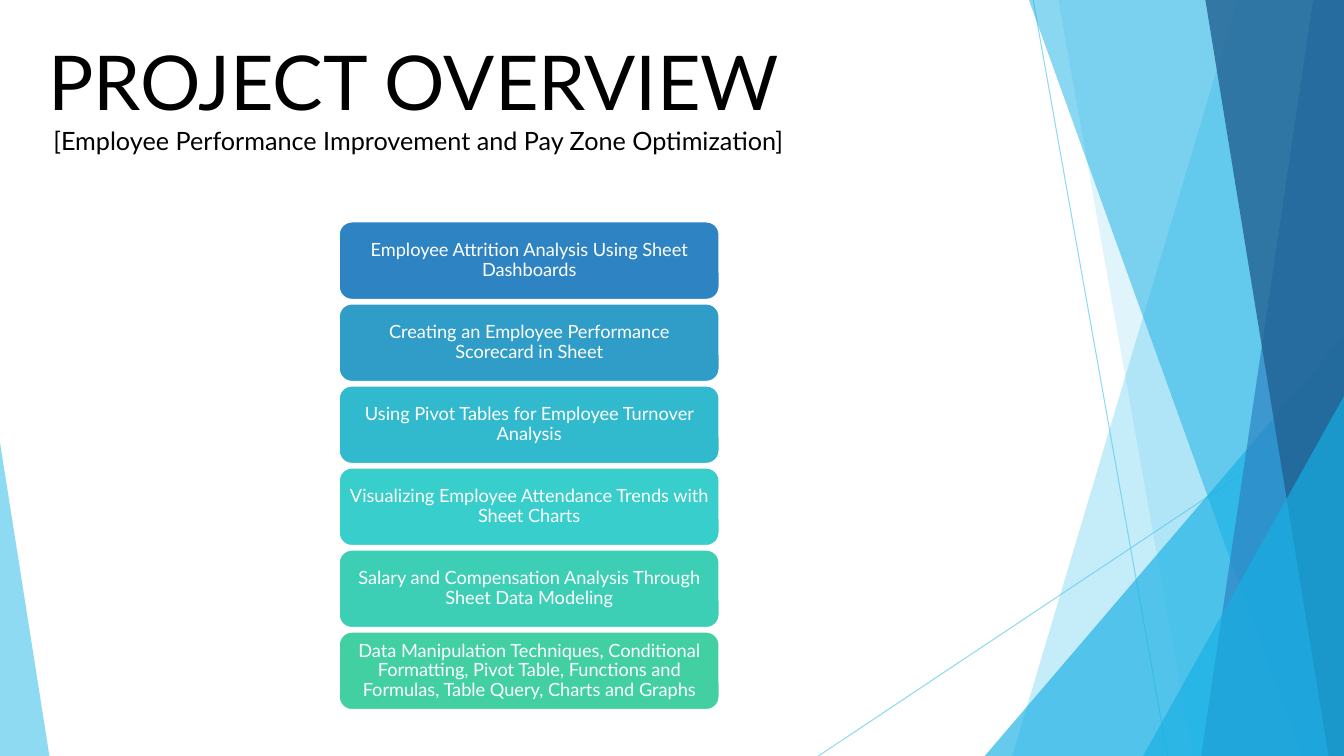
from lxml import etree
from pptx import Presentation
from pptx.dml.color import RGBColor
from pptx.enum.shapes import MSO_CONNECTOR, MSO_SHAPE
from pptx.enum.text import MSO_ANCHOR, PP_ALIGN
from pptx.oxml.ns import qn
from pptx.util import Pt

ROUND = MSO_SHAPE.ROUNDED_RECTANGLE
TRIANGLE = MSO_SHAPE.ISOSCELES_TRIANGLE
STRAIGHT = MSO_CONNECTOR.STRAIGHT
CENTER = PP_ALIGN.CENTER
MIDDLE = MSO_ANCHOR.MIDDLE

WIDE, HIGH = 960, 540
SKY, BLUE, NAVY, AZURE = "5FCBEF", "2E83C3", "226292", "17B0E4"
BLACK, WHITE = "000000", "FFFFFF"

# Bands reach the right edge: top x, bottom x, colour, opacity
BACK = [
    (884, 723, SKY, 36),
    (756, 852, SKY, 20),
]
FRONT = [
    (735, 929.5, AZURE, 50),
    (938, 858, BLUE, 70),
    (861, 949, NAVY, 80),
]

TOPICS = [
    ("Employee Attrition Analysis Using Sheet Dashboards", BLUE),
    ("Creating an Employee Performance Scorecard in Sheet", "309DC8"),
    ("Using Pivot Tables for Employee Turnover Analysis", "31B9CD"),
    ("Visualizing Employee Attendance Trends with Sheet Charts", "37CECB"),
    ("Salary and Compensation Analysis Through Sheet Data Modeling", "3CCFB6"),
    ("Data Manipulation Techniques, Conditional Formatting, Pivot Table, "
     "Functions and Formulas, Table Query, Charts and Graphs", "42D0A2"),
]


def color(code):
    return RGBColor.from_string(code)


def fade(shape, alpha):
    """Set the opacity, in percent, of the shape's colour."""
    for tag in shape._element.spPr.iter(qn("a:srgbClr")):
        etree.SubElement(tag, qn("a:alpha")).set("val", str(alpha * 1000))


class Deck:
    font = "Lato"

    def __init__(self, slide):
        self.shapes = slide.shapes

    def paint(self, shape, fill, alpha=100):
        shape.shadow.inherit = False
        shape.fill.solid()
        shape.fill.fore_color.rgb = color(fill)
        shape.line.fill.background()
        if alpha < 100:
            fade(shape, alpha)

    def letter(self, frame, text, size, ink):
        """Fill a text frame with one styled paragraph."""
        frame.word_wrap = True
        frame.text = text
        font = frame.paragraphs[0].runs[0].font
        font.name = self.font
        font.size = Pt(size)
        font.color.rgb = color(ink)

    def line(self, x1, y1, x2, y2):
        line = self.shapes.add_connector(STRAIGHT, Pt(x1), Pt(y1), Pt(x2), Pt(y2))
        line.line.width = Pt(0.75)
        line.line.color.rgb = color(SKY)
        fade(line, 70)
        etree.SubElement(line._element.spPr, qn("a:effectLst"))

    def band(self, top, bottom, fill, alpha):
        """Draw a slanted band from its left edge to the slide's right edge."""
        outline = self.shapes.build_freeform(Pt(top), 0)
        outline.add_line_segments(
            [(Pt(WIDE), 0), (Pt(WIDE), Pt(HIGH)), (Pt(bottom), Pt(HIGH))])
        self.paint(outline.convert_to_shape(), fill, alpha)

    def wedge(self, left, top, width, apex, fill, alpha):
        """Draw a right triangle standing on the slide's bottom edge."""
        shape = self.shapes.add_shape(
            TRIANGLE, Pt(left), Pt(top), Pt(width), Pt(HIGH - top))
        shape.adjustments[0] = apex
        self.paint(shape, fill, alpha)

    def label(self, left, top, width, height, text, size):
        box = self.shapes.add_textbox(Pt(left), Pt(top), Pt(width), Pt(height))
        self.letter(box.text_frame, text, size, BLACK)

    def card(self, left, top, width, height, text, fill):
        card = self.shapes.add_shape(ROUND, Pt(left), Pt(top), Pt(width), Pt(height))
        self.paint(card, fill)
        card.line.color.rgb = color(WHITE)
        card.line.width = Pt(1.5)
        frame = card.text_frame
        self.letter(frame, text, 13, WHITE)
        frame.vertical_anchor = MIDDLE
        frame.margin_left = frame.margin_right = Pt(4)
        frame.margin_top = frame.margin_bottom = Pt(2)
        para = frame.paragraphs[0]
        para.alignment = CENTER
        para.line_spacing = 0.9


def main():
    show = Presentation()
    show.slide_width, show.slide_height = Pt(WIDE), Pt(HIGH)
    deck = Deck(show.slides.add_slide(show.slide_layouts[6]))

    deck.line(738, 0, 834, HIGH)
    deck.line(WIDE, 290, 584.6, HIGH)
    for band in BACK:
        deck.band(*band)
    deck.wedge(703.4, 240, 256.6, 1, AZURE, 66)
    for band in FRONT:
        deck.band(*band)
    deck.wedge(816.5, 283, 143.5, 1, AZURE, 66)
    deck.wedge(0, 316, 35.3, 0, SKY, 70)

    deck.label(27.4, 21.6, 562, 72.7, "PROJECT OVERVIEW", 54)
    deck.label(31, 85.7, 570, 29,
               "[Employee Performance Improvement and Pay Zone Optimization]", 18)
    for row, (text, fill) in enumerate(TOPICS):
        deck.card(242, 158.2 + row * 58.6, 272, 56, text, fill)

    show.save("out.pptx")


if __name__ == "__main__":
    main()
